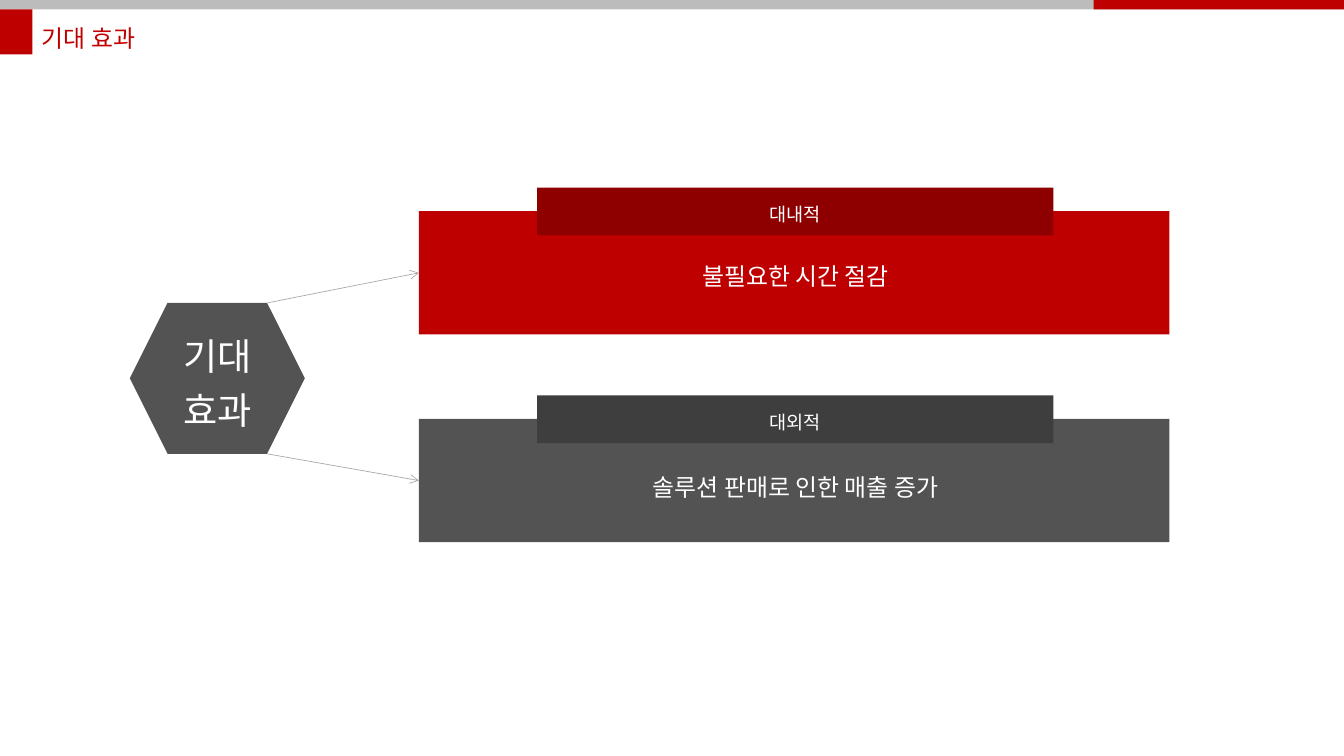
from lxml.etree import SubElement
from pptx import Presentation
from pptx.dml.color import RGBColor
from pptx.enum.shapes import MSO_CONNECTOR, MSO_SHAPE
from pptx.enum.text import MSO_ANCHOR, MSO_AUTO_SIZE, PP_ALIGN
from pptx.oxml.ns import qn
from pptx.util import Cm, Pt

FONT = "Noto Sans CJK KR"
WHITE = RGBColor(0xFF, 0xFF, 0xFF)
RED = RGBColor(0xBE, 0x00, 0x00)
DARK_RED = RGBColor(0x8E, 0x00, 0x00)
TITLE_RED = RGBColor(0xC0, 0x00, 0x00)
GRAY = RGBColor(0x53, 0x53, 0x53)
DARK_GRAY = RGBColor(0x3E, 0x3E, 0x3E)
BAR_GRAY = RGBColor(0xBC, 0xBC, 0xBC)
LINE_GRAY = RGBColor(0xA6, 0xA6, 0xA6)

TITLE = "기대 효과"
# tab label, effect, panel top, effect top, panel colour, tab colour
EFFECTS = [
    ("대내적", "불필요한 시간 절감", 5.61, 6.68, RED, DARK_RED),
    ("대외적", "솔루션 판매로 인한 매출 증가", 11.13, 12.27, GRAY, DARK_GRAY),
]

# All lengths in centimetres
WIDTH, HEIGHT = 35.71, 20.09
BAR_H, RED_W = 0.25, 6.65
MARK_W, MARK_H = 0.86, 1.2
PANEL_X, PANEL_W, PANEL_H = 11.13, 19.94, 3.28
TAB_X, TAB_W, TAB_H, TAB_RISE = 14.27, 13.72, 1.27, 0.62
TEXT_X, TEXT_W, TEXT_H = 12.27, 17.73, 1.12
HEX_X, HEX_Y, HEX_W, HEX_H = 3.45, 8.05, 4.65, 4.01


def write(shape, text, size, color, align=PP_ALIGN.CENTER, spacing=1.2, inset=0.28):
    frame = shape.text_frame
    frame.word_wrap = True
    frame.margin_left = frame.margin_right = Cm(inset)
    frame.margin_top = frame.margin_bottom = Cm(0.13)
    frame.text = text
    para = frame.paragraphs[0]
    para.alignment = align
    para.line_spacing = spacing
    font = para.runs[0].font
    font.size = Pt(size)
    font.color.rgb = color
    font.name = FONT
    # Korean text takes its typeface from the East Asian slot
    SubElement(para.runs[0]._r.rPr, qn("a:ea"), typeface=FONT)


def add_block(slide, x, y, w, h, fill, kind=MSO_SHAPE.RECTANGLE):
    block = slide.shapes.add_shape(kind, Cm(x), Cm(y), Cm(w), Cm(h))
    block.shadow.inherit = False
    block.fill.solid()
    block.fill.fore_color.rgb = fill
    block.line.fill.background()
    block.text_frame.vertical_anchor = MSO_ANCHOR.MIDDLE
    return block


def add_label(slide, x, y, w, h):
    label = slide.shapes.add_textbox(Cm(x), Cm(y), Cm(w), Cm(h))
    label.text_frame.auto_size = MSO_AUTO_SIZE.SHAPE_TO_FIT_TEXT
    return label


def add_arrow(slide, x1, y1, x2, y2):
    arrow = slide.shapes.add_connector(
        MSO_CONNECTOR.STRAIGHT, Cm(x1), Cm(y1), Cm(x2), Cm(y2))
    arrow.line.color.rgb = LINE_GRAY
    arrow.line.width = Pt(0.5)
    SubElement(arrow.line._get_or_add_ln(), qn("a:tailEnd"), type="arrow")
    SubElement(arrow._element.spPr, qn("a:effectLst"))


def add_header(slide):
    add_block(slide, 0, 0, WIDTH, BAR_H, BAR_GRAY)
    add_block(slide, WIDTH - RED_W, 0, RED_W, BAR_H, RED)
    add_block(slide, 0, BAR_H, MARK_W, MARK_H, RED)
    title = add_label(slide, MARK_W, 0.13, 9, 1.32)
    write(title, TITLE, 18, TITLE_RED, PP_ALIGN.LEFT, 1.5, 0.25)


def add_effects(slide):
    center = add_block(slide, HEX_X, HEX_Y, HEX_W, HEX_H, GRAY, MSO_SHAPE.HEXAGON)
    write(center, TITLE, 28, WHITE)
    corner_x = HEX_X + HEX_W - HEX_H / 4
    corners = (HEX_Y, HEX_Y + HEX_H)
    for corner_y, effect in zip(corners, EFFECTS):
        name, text, top, text_y, fill, tab_fill = effect
        add_block(slide, PANEL_X, top, PANEL_W, PANEL_H, fill)
        tab = add_block(slide, TAB_X, top - TAB_RISE, TAB_W, TAB_H, tab_fill)
        write(tab, name, 14, WHITE)
        write(add_label(slide, TEXT_X, text_y, TEXT_W, TEXT_H), text, 18, WHITE)
        add_arrow(slide, corner_x, corner_y, PANEL_X, top + PANEL_H / 2)


def main():
    deck = Presentation()
    deck.slide_width, deck.slide_height = Cm(WIDTH), Cm(HEIGHT)
    slide = deck.slides.add_slide(deck.slide_layouts[6])
    add_effects(slide)
    add_header(slide)
    deck.save("out.pptx")


if __name__ == "__main__":
    main()
